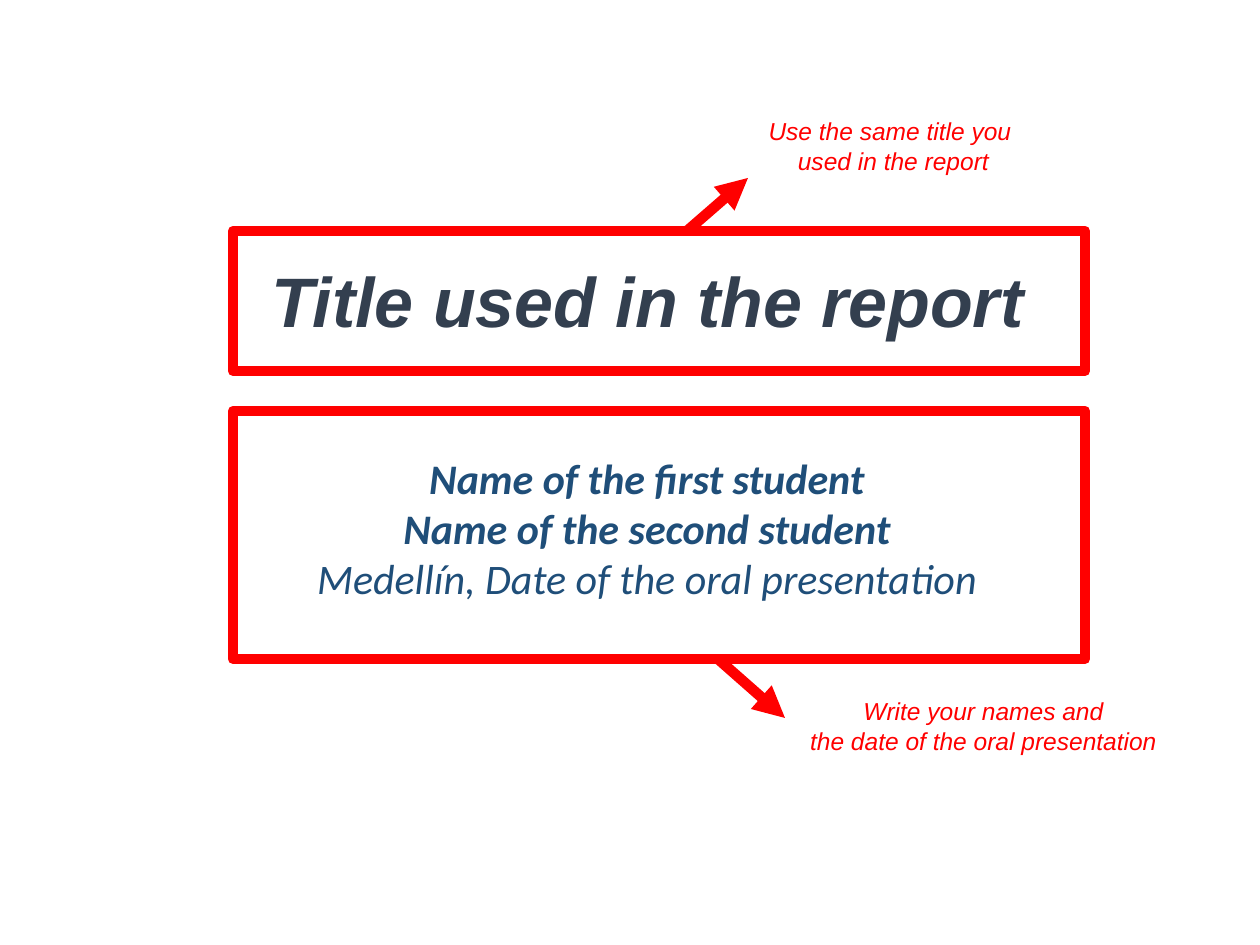
from dataclasses import dataclass

from lxml.etree import SubElement
from pptx import Presentation
from pptx.dml.color import RGBColor
from pptx.enum.shapes import MSO_CONNECTOR, MSO_SHAPE
from pptx.enum.text import MSO_ANCHOR, MSO_AUTO_SIZE, PP_ALIGN
from pptx.oxml.ns import qn
from pptx.util import Emu, Pt

PX_PER_INCH = 126


def px(length):
    return Emu(round(length * 914400 / PX_PER_INCH))


@dataclass(frozen=True)
class Theme:
    title: RGBColor = RGBColor(0x33, 0x3F, 0x4F)
    names: RGBColor = RGBColor(0x1F, 0x4E, 0x79)
    accent: RGBColor = RGBColor(0xFF, 0x00, 0x00)
    heading_font: str = "Arial"
    body_font: str = "Calibri"
    title_size: int = 40
    names_size: int = 24
    note_size: int = 14
    line_width: int = 6


class SlideBuilder:
    def __init__(self, page, theme):
        self.page = page
        self.theme = theme

    def add_lines(self, frame, lines, color, **font_values):
        """Add (text, bold) lines as centred italic paragraphs."""
        for index, (text, bold) in enumerate(lines):
            para = frame.paragraphs[0] if index == 0 else frame.add_paragraph()
            for name, value in {"alignment": PP_ALIGN.CENTER, "space_before": Pt(0)}.items():
                setattr(para, name, value)
            span = para.add_run()
            span.text = text
            for name, value in {"italic": True, "bold": bold, **font_values}.items():
                setattr(span.font, name, value)
            span.font.color.rgb = color

    def place(self, box, left, top, width, height):
        position = {"left": left, "top": top, "width": width, "height": height}
        for name, value in position.items():
            setattr(box, name, px(value))

    def placeholder(self, box, bounds, lines, color, frame_values, **font_values):
        self.place(box, *bounds)
        frame = box.text_frame
        settings = {"word_wrap": True, "auto_size": MSO_AUTO_SIZE.NONE, **frame_values}
        for name, value in settings.items():
            setattr(frame, name, value)
        self.add_lines(frame, lines, color, **font_values)

    def outline(self, line):
        line.color.rgb = self.theme.accent
        line.width = Pt(self.theme.line_width)

    def frame(self, *bounds):
        box = self.page.shapes.add_shape(MSO_SHAPE.RECTANGLE, *map(px, bounds))
        box.shadow.inherit = False
        box.fill.background()
        self.outline(box.line)

    def arrow(self, *ends):
        arrow = self.page.shapes.add_connector(MSO_CONNECTOR.STRAIGHT, *map(px, ends))
        self.outline(arrow.line)
        properties = arrow._element.spPr
        SubElement(properties.find(qn("a:ln")), qn("a:tailEnd"), type="triangle")
        SubElement(properties, qn("a:effectLst"))

    def note(self, bounds, *lines):
        box = self.page.shapes.add_textbox(*map(px, bounds))
        box.text_frame.word_wrap = True
        box.text_frame.auto_size = MSO_AUTO_SIZE.SHAPE_TO_FIT_TEXT
        self.add_lines(box.text_frame, [(line, False) for line in lines], self.theme.accent,
                       name=self.theme.heading_font, size=Pt(self.theme.note_size))


def main():
    deck = Presentation()
    deck.slide_width, deck.slide_height = px(1260), px(945)
    page = deck.slides.add_slide(deck.slide_layouts[0])
    theme = Theme()
    builder = SlideBuilder(page, theme)

    # Title and student names
    builder.placeholder(
        page.shapes.title, (112, 184, 1071, 203),
        [("Title used in the report", True)], theme.title,
        {"vertical_anchor": MSO_ANCHOR.BOTTOM, "margin_bottom": px(45)},
        name=theme.heading_font, size=Pt(theme.title_size))
    builder.placeholder(
        page.placeholders[1], (64, 407, 1166, 258),
        [("Name of the first student", True),
         ("Name of the second student", True),
         ("Medellín, Date of the oral presentation", False)], theme.names,
        {"vertical_anchor": MSO_ANCHOR.TOP, "margin_top": px(45)},
        name=theme.body_font, size=Pt(theme.names_size))

    # Frame, arrow and note for the title
    builder.frame(233, 231, 852, 140)
    builder.arrow(687, 231, 748, 178)
    builder.note((748, 110, 291, 72), "Use the same title you ", "used in the report")

    # Frame, arrow and note for the names
    builder.frame(233, 411, 852, 248)
    builder.arrow(718, 659, 785, 718)
    builder.note((785, 690, 397, 72), "Write your names and",
                 "the date of the oral presentation")

    deck.save("out.pptx")


if __name__ == "__main__":
    main()
